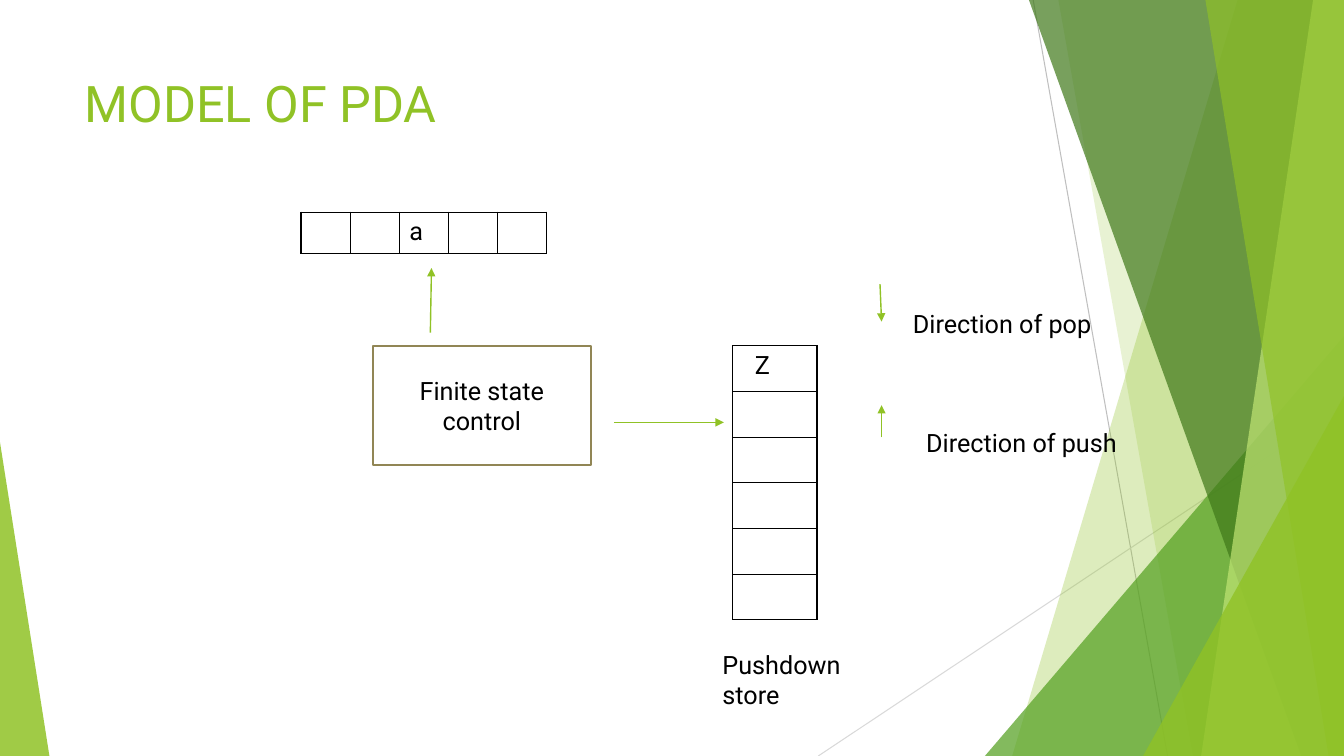
from pptx import Presentation
from pptx.dml.color import RGBColor
from pptx.enum.shapes import MSO_CONNECTOR as Connector, MSO_SHAPE as Preset
from pptx.enum.text import MSO_ANCHOR as Anchor, PP_ALIGN as Align
from pptx.oxml.ns import qn
from pptx.util import Pt
from lxml.etree import SubElement

COLORS = {
    "lime": "90C226", "green": "54A021", "forest": "3F7819", "pale": "C0E474",
    "olive": "918655", "gray": "BFBFBF", "silver": "D9D9D9",
    "black": "000000", "white": "FFFFFF",
}
WIDTH, HEIGHT = 960, 540


class SlideBuilder:
    font = "Roboto"
    body_size = 18

    def __init__(self, slide):
        self.slide = slide
        self.shapes = slide.shapes

    def color(self, name):
        return RGBColor.from_string(COLORS[name])

    def paint(self, shape, color, opacity=100):
        shape.shadow.inherit = False
        shape.fill.solid()
        shape.fill.fore_color.rgb = self.color(color)
        if opacity < 100:
            tone = shape._element.spPr.find(qn("a:solidFill"))[0]
            SubElement(tone, qn("a:alpha"), val=str(opacity * 1000))
        shape.line.fill.background()

    def add_run(self, paragraph, text, size=body_size, color="black"):
        run = paragraph.add_run()
        run.text = text
        run.font.name = self.font
        run.font.size = Pt(size)
        run.font.color.rgb = self.color(color)

    def facet(self, top_x, bottom_x, color, opacity):
        outline = self.shapes.build_freeform(Pt(top_x), 0)
        corners = [(WIDTH, 0), (WIDTH, HEIGHT), (bottom_x, HEIGHT)]
        outline.add_line_segments([(Pt(x), Pt(y)) for x, y in corners])
        self.paint(outline.convert_to_shape(), color, opacity)

    def triangle(self, left, top, width, apex, color, opacity):
        shape = self.shapes.add_shape(
            Preset.ISOSCELES_TRIANGLE, Pt(left), Pt(top), Pt(width), Pt(HEIGHT - top))
        shape.adjustments[0] = apex
        self.paint(shape, color, opacity)

    def line(self, start, end, color="lime", width=1, arrow=False):
        points = [Pt(value) for value in (*start, *end)]
        connector = self.shapes.add_connector(Connector.STRAIGHT, *points)
        connector.line.color.rgb = self.color(color)
        connector.line.width = Pt(width)
        properties = connector._element.spPr
        if arrow:
            SubElement(properties.find(qn("a:ln")), qn("a:tailEnd"), type="triangle")
        SubElement(properties, qn("a:effectLst"))

    def text(self, text, left, top, width, height, size=body_size, color="black", wrap=True):
        box = self.shapes.add_textbox(Pt(left), Pt(top), Pt(width), Pt(height))
        box.text_frame.word_wrap = wrap
        self.add_run(box.text_frame.paragraphs[0], text, size, color)

    def box(self, text, left, top, width, height):
        shape = self.shapes.add_shape(
            Preset.RECTANGLE, Pt(left), Pt(top), Pt(width), Pt(height))
        self.paint(shape, "white")
        shape.line.color.rgb = self.color("olive")
        shape.line.width = Pt(1.5)
        frame = shape.text_frame
        frame.word_wrap = True
        frame.vertical_anchor = Anchor.MIDDLE
        frame.paragraphs[0].alignment = Align.CENTER
        self.add_run(frame.paragraphs[0], text)

    def border(self, cell):
        properties = cell._tc.get_or_add_tcPr()
        for side in ("lnL", "lnR", "lnT", "lnB"):
            edge = SubElement(properties, qn(f"a:{side}"), w=str(Pt(1)))
            fill = SubElement(edge, qn("a:solidFill"))
            SubElement(fill, qn("a:srgbClr"), val=COLORS["black"])

    def tape(self, rows, left, top, cell_width, cell_height, indent=7.2):
        row_count, column_count = len(rows), len(rows[0])
        table = self.shapes.add_table(
            row_count, column_count, Pt(left), Pt(top),
            Pt(cell_width * column_count), Pt(cell_height * row_count)).table
        table.first_row = table.horz_banding = False
        for column in table.columns:
            column.width = Pt(cell_width)
        for row, symbols in zip(table.rows, rows):
            row.height = Pt(cell_height)
            for cell, symbol in zip(row.cells, symbols):
                self.border(cell)
                cell.fill.background()
                cell.margin_left = Pt(indent)
                if symbol:
                    self.add_run(cell.text_frame.paragraphs[0], symbol)


def main():
    presentation = Presentation()
    presentation.slide_width, presentation.slide_height = Pt(WIDTH), Pt(HEIGHT)
    builder = SlideBuilder(presentation.slides.add_slide(presentation.slide_layouts[6]))

    builder.line((738, 0), (834, HEIGHT), "gray", 0.75)
    builder.line((WIDTH, 290), (584.5, HEIGHT), "silver", 0.75)
    builder.facet(884, 723, "lime", 30)
    builder.facet(756, 852, "lime", 20)
    builder.triangle(703.5, 240, 256.5, 1, "green", 72)
    builder.facet(735, 929.5, "forest", 70)
    builder.facet(938, 858, "pale", 70)
    builder.facet(861, 949, "lime", 65)
    builder.triangle(816.5, 283, 143.5, 1, "lime", 80)
    builder.triangle(0, 316, 35.3, 0, "lime", 85)

    builder.text("MODEL OF PDA", 53.3, 48, 677, 104, 36, "lime")
    builder.tape([["", "", "a", "", ""]], 215, 151.6, 35.1, 29.5)
    builder.box("Finite state control", 266.4, 247, 155.6, 85)
    builder.tape([["Z"]] + [[""]] * 5, 523.3, 247, 60.3, 32.65, indent=16)

    arrows = [
        ((307.4, 237.6), (308.2, 191.5)),
        ((438.5, 301.7), (517, 301.7)),
        ((628.6, 203), (629.7, 229.7)),
        ((629.7, 312.5), (629.7, 289.4)),
    ]
    for start, end in arrows:
        builder.line(start, end, arrow=True)

    builder.text("Direction of pop", 645, 216.7, 146, 29, wrap=False)
    builder.text("Direction of push", 654.5, 301.7, 153.4, 29, wrap=False)
    builder.text("Pushdown store", 509, 460, 136, 51)

    presentation.save("out.pptx")


if __name__ == "__main__":
    main()
